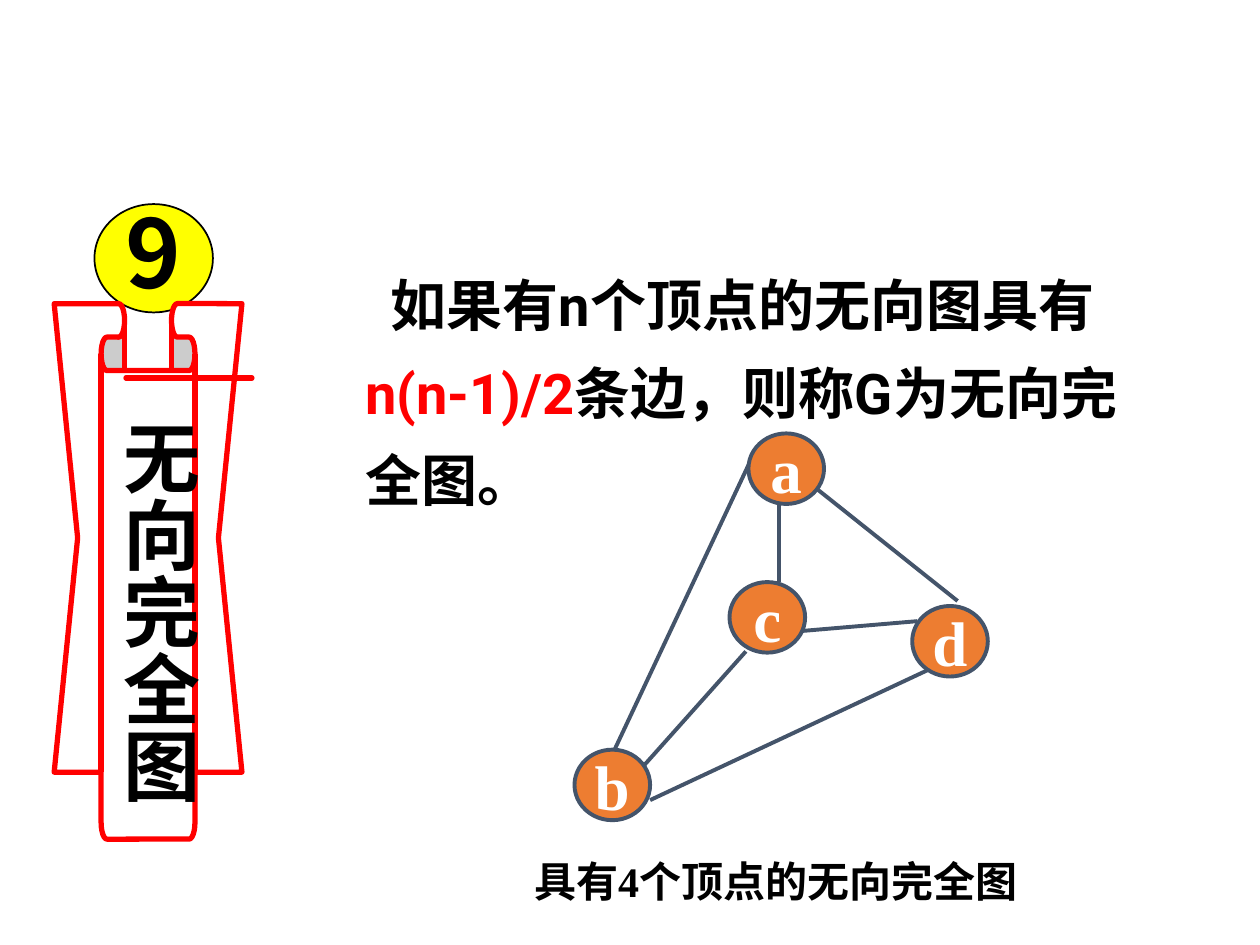
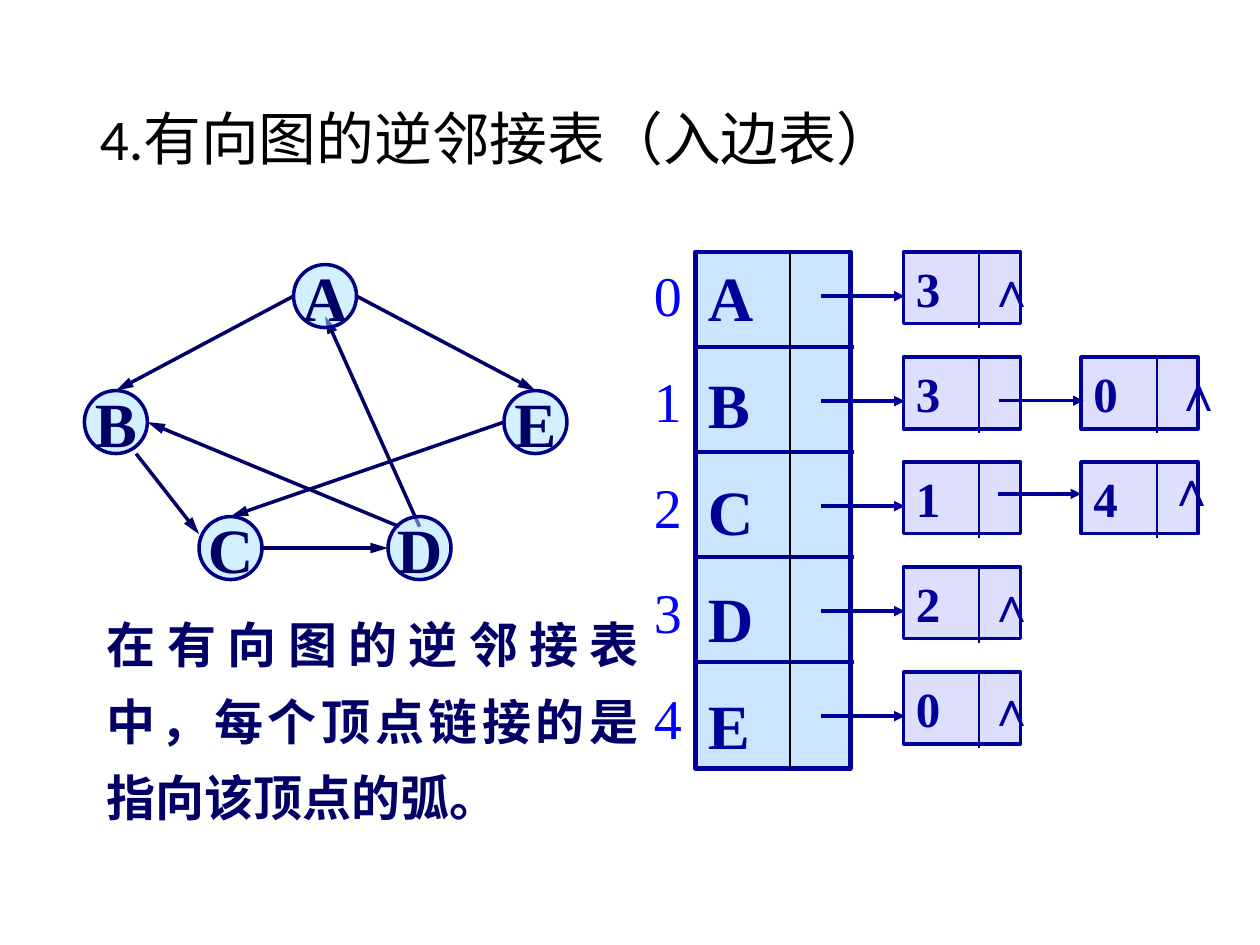
import math

from lxml import etree
from pptx import Presentation
from pptx import util as u
from pptx.dml import color
from pptx.enum import shapes, text
from pptx.oxml import ns

COLUMNS, ROWS = 10, 7.5
SERIF = "Times New Roman"
COLORS = {
    "black": "000000", "white": "FFFFFF", "red": "FF0000", "yellow": "FFFF00",
    "slate": "44546A", "orange": "ED7D31", "navy": "000066", "ring": "000080",
    "ink": "000099", "index": "0000FF", "vertex": "A7E2FF", "array": "99CCFF",
    "cell": "BEC1FE",
}


def rgb(name):
    return color.RGBColor.from_string(COLORS[name])


def grid(*lengths):
    return [u.Inches(length) for length in lengths]


def style_font(font, size, name, ink, bold=True):
    font.size, font.name, font.bold = u.Pt(size), name, bold
    font.color.rgb = rgb(ink)


def write(frame, lines, size, name, ink, bold=True, align=None, gap=0, spacing=None):
    frame.text = "\n".join(lines)
    for number, para in enumerate(frame.paragraphs):
        para.alignment = align
        para.line_spacing = spacing
        if number:
            para.space_before = u.Pt(gap)
        for span in para.runs:
            style_font(span.font, size, name, ink, bold)


def add_text(page, place, lines, size, name, ink, wrap=False, **options):
    box = page.shapes.add_textbox(*grid(*place))
    box.text_frame.word_wrap = wrap
    write(box.text_frame, lines, size, name, ink, **options)
    return box


def paint(block, fill, line, weight, opacity=None):
    block.shadow.inherit = False
    block.fill.solid()
    block.fill.fore_color.rgb = rgb(fill)
    block.line.color.rgb = rgb(line)
    block.line.width = u.Pt(weight)
    if opacity:
        tint = block.fill._xPr.find(".//" + ns.qn("a:srgbClr"))
        etree.SubElement(tint, ns.qn("a:alpha"), val=str(opacity * 1000))


def add_block(page, kind, place, *look):
    block = page.shapes.add_shape(kind, *grid(*place))
    paint(block, *look)
    return block


def add_line(page, start, end, ink, weight, head=None):
    line = page.shapes.add_connector(shapes.MSO_CONNECTOR.STRAIGHT, *grid(*start, *end))
    line.line.color.rgb = rgb(ink)
    line.line.width = u.Pt(weight)
    if head:
        etree.SubElement(line.line._get_or_add_ln(), ns.qn("a:tailEnd"),
                         type="triangle", w="med", len=head)
    etree.SubElement(line._element.spPr, ns.qn("a:effectLst"))


def add_node(page, label, place, fill, line, weight, ink, opacity=None):
    node = add_block(page, shapes.MSO_SHAPE.OVAL, place, fill, line, weight, opacity)
    frame = node.text_frame
    frame.word_wrap = False
    frame.vertical_anchor = text.MSO_ANCHOR.MIDDLE
    write(frame, [label], 36, SERIF, ink, align=text.PP_ALIGN.CENTER)


def arc(x, y, start, end):
    angles = [math.radians(start + (end - start) * step / 12) for step in range(13)]
    return [(x + 0.04 * math.cos(angle), y + 0.13 * math.sin(angle)) for angle in angles]


def add_ribbon(page):
    ribbon = add_block(page, shapes.MSO_SHAPE.DOWN_RIBBON, (0.43, 2.41, 1.49, 4.25),
                       "white", "red", 3)
    ribbon.adjustments[0] = 0.125
    ribbon.adjustments[1] = 0.5
    fold = arc(0.95, 2.54, 0, 90) + arc(0.85, 2.81, -90, -270) + [(0.99, 2.94)]
    mirrored = [(2.36 - x, y) for x, y in fold]
    for outline in (fold, mirrored):
        builder = page.shapes.build_freeform(*outline[0], scale=u.Inches(1))
        builder.add_line_segments(outline[1:], close=True)
        paint(builder.convert_to_shape(), "white", "red", 3)


def add_banner(page, number, name):
    add_block(page, shapes.MSO_SHAPE.OVAL, (0.75, 1.62, 0.94, 0.86), "yellow", "black", 1)
    add_text(page, (0.9, 1.49, 0.71, 1), [number], 54, "Noto Sans CJK SC", "black")
    add_ribbon(page)
    label = add_text(page, (0.75, 3.23, 0.93, 3.62), [name], 44, "Arial", "black",
                     wrap=True, align=text.PP_ALIGN.CENTER)
    frame = label.text_frame
    frame.margin_left = frame.margin_right = u.Inches(0.05)
    frame.margin_top = frame.margin_bottom = u.Inches(0.1)
    frame._txBody.bodyPr.set("vert", "eaVert")


def add_definition(page):
    box = add_text(page, (2.8, 1.94, 6.42, 2.18), ["如果有n个顶点的无向图具有"],
                   32, "Roboto", "black", wrap=True, spacing=1.3)
    para = box.text_frame.paragraphs[0]
    para._p.get_or_add_pPr().set("indent", str(u.Inches(0.2)))
    for words, ink in (("n(n-1)/2", "red"), ("条边，则称G为无向完全图。", "black")):
        span = para.add_run()
        span.text = words
        style_font(span.font, 32, "Roboto", ink)


def add_complete_graph(page):
    edges = [
        ((5.16, 6.35), (7.36, 5.32)), ((6.34, 5.01), (7.28, 4.93)),
        ((6.18, 3.99), (6.18, 4.62)), ((5.92, 5.17), (5.08, 6.11)),
        ((6.42, 3.83), (7.6, 4.77)), ((5.95, 3.67), (4.84, 6.03)),
    ]
    for start, end in edges:
        add_line(page, start, end, "slate", 2.25)
    nodes = {"c": (5.79, 4.62), "a": (5.94, 3.44), "d": (7.24, 4.81), "b": (4.56, 5.95)}
    for label, corner in nodes.items():
        add_node(page, label, (*corner, 0.6, 0.56), "orange", "slate", 2.25, "white")
    add_text(page, (4.14, 6.66, 4.19, 0.58), ["具有4个顶点的无向完全图"], 24, SERIF,
             "black", spacing=1.2)


def add_directed_graph(page):
    arcs = [
        ((2.33, 2.35), (0.92, 3.1)), ((1.08, 3.6), (1.58, 4.24)),
        ((2.08, 4.35), (3.08, 4.35)), ((3.33, 4.18), (2.58, 2.51)),
        ((2.83, 2.35), (4.25, 3.1)), ((3.17, 4.18), (1.17, 3.35)),
        ((4, 3.35), (1.83, 4.1)),
    ]
    for start, end in arcs:
        add_line(page, start, end, "navy", 2, head="lg")
    nodes = {"A": (2.33, 2.1), "B": (0.67, 3.1), "E": (4, 3.1),
             "C": (1.58, 4.1), "D": (3.08, 4.1)}
    for label, corner in nodes.items():
        add_node(page, label, (*corner, 0.5, 0.5), "vertex", "ring", 2, "navy", 50)


def add_vertex_array(page, vertices, row_height):
    left, top, width, height = 5.52, 2, 1.23, 4.1
    array = add_block(page, shapes.MSO_SHAPE.RECTANGLE, (left, top, width, height),
                      "array", "ink", 2.5, 50)
    frame = array.text_frame
    frame.vertical_anchor = text.MSO_ANCHOR.TOP
    write(frame, vertices, 36, SERIF, "ink", align=text.PP_ALIGN.LEFT, gap=18)
    for row in range(1, len(vertices)):
        y = top - 0.08 + row * row_height
        add_line(page, (left, y), (left + 1.26, y), "ink", 2.25)
    add_line(page, (left + 0.75, top), (left + 0.75, top + height), "black", 1)
    add_text(page, (5.09, 2.02, 0.42, 3.99), [str(row) for row in range(len(vertices))],
             32, SERIF, "index", bold=False, gap=22)


def add_edge_cell(page, x, y, vertex):
    cell = add_block(page, shapes.MSO_SHAPE.RECTANGLE, (x, y, 0.93, 0.57),
                     "cell", "ink", 2, 50)
    cell.text_frame.vertical_anchor = text.MSO_ANCHOR.TOP
    write(cell.text_frame, [vertex], 28, SERIF, "ink", align=text.PP_ALIGN.LEFT)
    add_line(page, (x + 0.6, y + 0.01), (x + 0.6, y + 0.6), "ink", 1)


def add_edge_lists(page, chains, row_height):
    first, second, top = 7.17, 8.58, 2
    for row, chain in enumerate(chains):
        y = top + row * row_height
        add_edge_cell(page, first, y, chain[0])
        add_line(page, (6.52, y + 0.35), (first + 0.01, y + 0.35), "ink", 2, head="med")
        if len(chain) > 1:
            add_edge_cell(page, second, y, chain[1])
    for start, end in (((7.93, 3.18), (8.6, 3.18)), ((7.92, 3.92), (8.58, 3.92))):
        add_line(page, start, end, "ink", 2, head="med")
    for x, y in ((7.74, 2), (9.22, 2.83), (9.17, 3.58), (7.74, 4.5), (7.74, 5.33)):
        add_text(page, (x, y, 0.6, 0.57), ["∧"], 28, "Arial", "ink")


def add_summary(page):
    box = add_text(page, (0.75, 4.69, 4.42, 1.92),
                   ["在有向图的逆邻接表中，每个顶点链接的是指向该顶点的弧。"], 28, SERIF,
                   "navy", wrap=True, align=text.PP_ALIGN.JUSTIFY, spacing=1.3)
    box.text_frame.paragraphs[0]._p.get_or_add_pPr().set("hangingPunct", "0")


def add_title(page, words):
    title = page.shapes.title
    title.left, title.top, title.width, title.height = grid(0.69, 0.4, 8.63, 1.45)
    title.text_frame.vertical_anchor = text.MSO_ANCHOR.MIDDLE
    write(title.text_frame, [words], 33, "Calibri", "black", bold=False,
          align=text.PP_ALIGN.LEFT, spacing=0.9)


def build_complete_graph_page(deck):
    page = deck.slides.add_slide(deck.slide_layouts[6])
    add_banner(page, "9", "无向完全图")
    add_definition(page)
    add_complete_graph(page)


def build_inverse_list_page(deck):
    page = deck.slides.add_slide(deck.slide_layouts[5])
    row_height = 5 / 6
    add_title(page, "4.有向图的逆邻接表（入边表）")
    add_directed_graph(page)
    add_summary(page)
    add_vertex_array(page, "ABCDE", row_height)
    add_edge_lists(page, ["3", "30", "14", "2", "0"], row_height)


def main():
    deck = Presentation()
    deck.slide_width, deck.slide_height = grid(COLUMNS, ROWS)
    build_complete_graph_page(deck)
    build_inverse_list_page(deck)
    deck.save("out.pptx")


if __name__ == "__main__":
    main()
